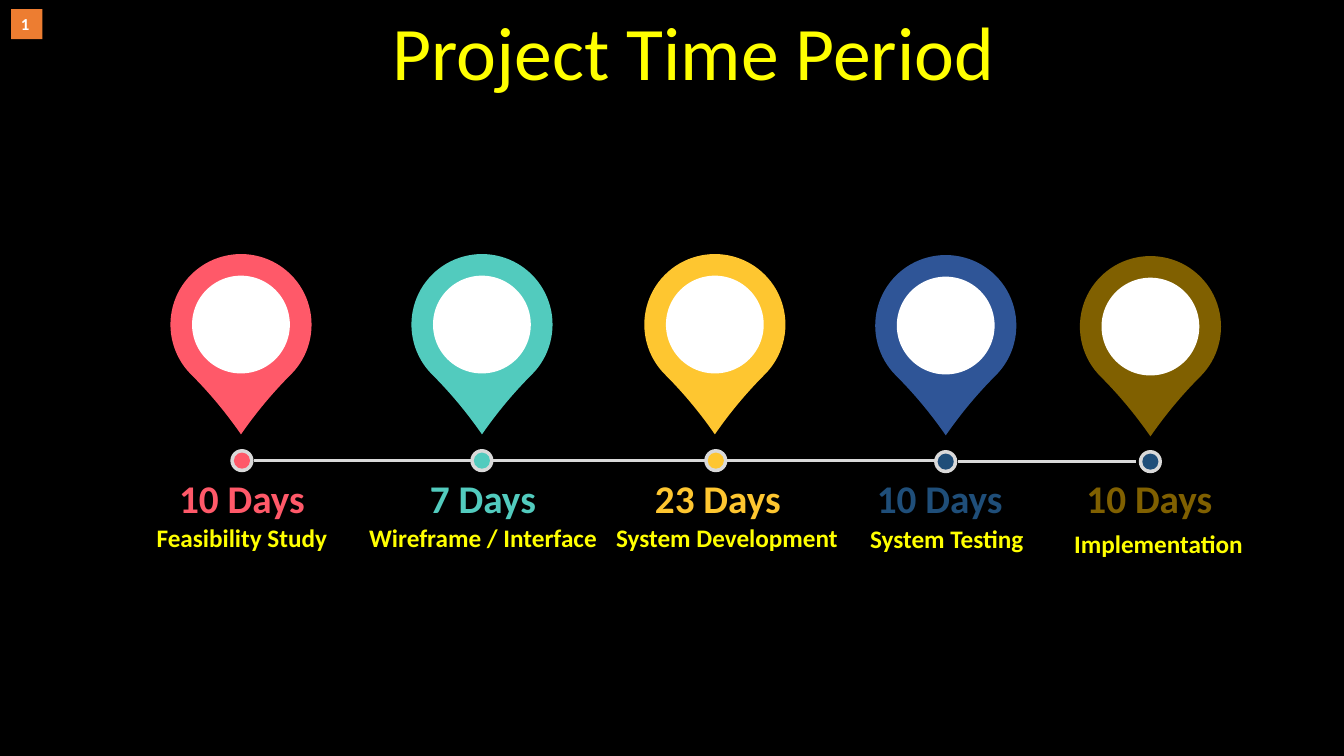
from lxml.etree import SubElement
from pptx import Presentation
from pptx.dml.color import RGBColor
from pptx.enum.shapes import MSO_CONNECTOR, MSO_SHAPE
from pptx.enum.text import MSO_ANCHOR, PP_ALIGN
from pptx.oxml.ns import qn
from pptx.util import Inches, Pt

YELLOW, GREY, WHITE = "FFFF00", "D9D9D9", "FFFFFF"
TEXT_WIDTH = 2.5


def color(value):
    return RGBColor.from_string(value)


class TimelineSlide:
    font = "Calibri"

    def __init__(self, prs, background):
        self.s = prs.slides.add_slide(prs.slide_layouts[6])
        fill = self.s.background.fill
        fill.solid()
        fill.fore_color.rgb = color(background)

    def set_text(self, sp, text, size, value, bold, align):
        tf = sp.text_frame
        tf.word_wrap = True
        tf.text = text
        p = tf.paragraphs[0]
        p.alignment = align
        r = p.runs[0]
        r.font.name = self.font
        r.font.size = Pt(size)
        r.font.bold = bold
        r.font.color.rgb = color(value)

    def text(self, text, left, top, width, height, size, value, bold=True):
        sp = self.s.shapes.add_textbox(
            Inches(left), Inches(top), Inches(width), Inches(height))
        self.set_text(sp, text, size, value, bold, PP_ALIGN.CENTER)

    def shape(self, kind, left, top, width, height, value):
        sp = self.s.shapes.add_shape(
            kind, Inches(left), Inches(top), Inches(width), Inches(height))
        sp.shadow.inherit = False
        sp.fill.solid()
        sp.fill.fore_color.rgb = color(value)
        sp.line.fill.background()
        return sp

    def round_shape(self, kind, x, y, size, value):
        return self.shape(kind, x - size / 2, y - size / 2, size, size, value)

    def pin(self, x, y, value):
        sp = self.round_shape(MSO_SHAPE.TEAR, x, y, 1.4, value)
        sp.adjustments[0] = 1.1
        sp.rotation = 135
        self.round_shape(MSO_SHAPE.OVAL, x, y, 0.97, WHITE)

    def dot(self, x, y, value):
        self.round_shape(MSO_SHAPE.OVAL, x, y, 0.23, GREY)
        self.round_shape(MSO_SHAPE.OVAL, x, y, 0.16, value)

    def line(self, start, end, y):
        cx = self.s.shapes.add_connector(
            MSO_CONNECTOR.STRAIGHT, Inches(start), Inches(y), Inches(end), Inches(y))
        cx.line.color.rgb = color(GREY)
        cx.line.width = Pt(2.25)
        SubElement(cx._element.spPr, qn("a:effectLst"))

    def badge(self, text, left, top, width, height, value):
        sp = self.shape(MSO_SHAPE.RECTANGLE, left, top, width, height, value)
        self.set_text(sp, text, 12, WHITE, True, PP_ALIGN.LEFT)
        sp.text_frame.word_wrap = False
        sp.text_frame.vertical_anchor = MSO_ANCHOR.TOP


def main():
    prs = Presentation()
    prs.slide_width, prs.slide_height = Inches(13.33), Inches(7.5)
    s = TimelineSlide(prs, "000000")

    for start, end, y in [(2.52, 4.67, 4.57), (4.87, 7.02, 4.57),
                          (7.18, 9.33, 4.57), (9.5, 11.27, 4.58)]:
        s.line(start, end, y)

    milestones = [
        ("10 Days", "Feasibility Study", "FF5969", "FF5969", "FF5969",
         2.39, 3.22, 2.4, 4.57, 1.15, 1.15, 5.13),
        ("7 Days", "Wireframe / Interface", "52CBBE", "52CBBE", "52CBBE",
         4.78, 3.22, 4.78, 4.57, 3.54, 3.54, 5.13),
        ("23 Days", "System Development", "FEC630", "FEC630", "FEC630",
         7.09, 3.22, 7.1, 4.57, 5.87, 5.96, 5.13),
        ("10 Days", "System Testing", "2F5597", "1F4E79", "1F4E79",
         9.38, 3.23, 9.38, 4.58, 8.07, 8.14, 5.14),
        ("10 Days", "Implementation", "806000", "1F4E79", "806000",
         11.41, 3.24, 11.41, 4.58, 10.15, 10.24, 5.19),
    ]
    for (days, label, pin_color, dot_color, days_color, pin_x, pin_y,
         dot_x, dot_y, days_left, label_left, label_top) in milestones:
        s.dot(dot_x, dot_y, dot_color)
        s.text(label, label_left, label_top, TEXT_WIDTH, 0.4, 18, YELLOW)
        s.text(days, days_left, 4.66, TEXT_WIDTH, 0.57, 28, days_color)
        s.pin(pin_x, pin_y, pin_color)

    s.text("Project Time Period", 3.4, 0, 6.96, 1.01, 54, YELLOW, bold=False)
    s.badge("1", 0.11, 0.09, 0.31, 0.3, "ED7D31")
    prs.save("out.pptx")


if __name__ == "__main__":
    main()
